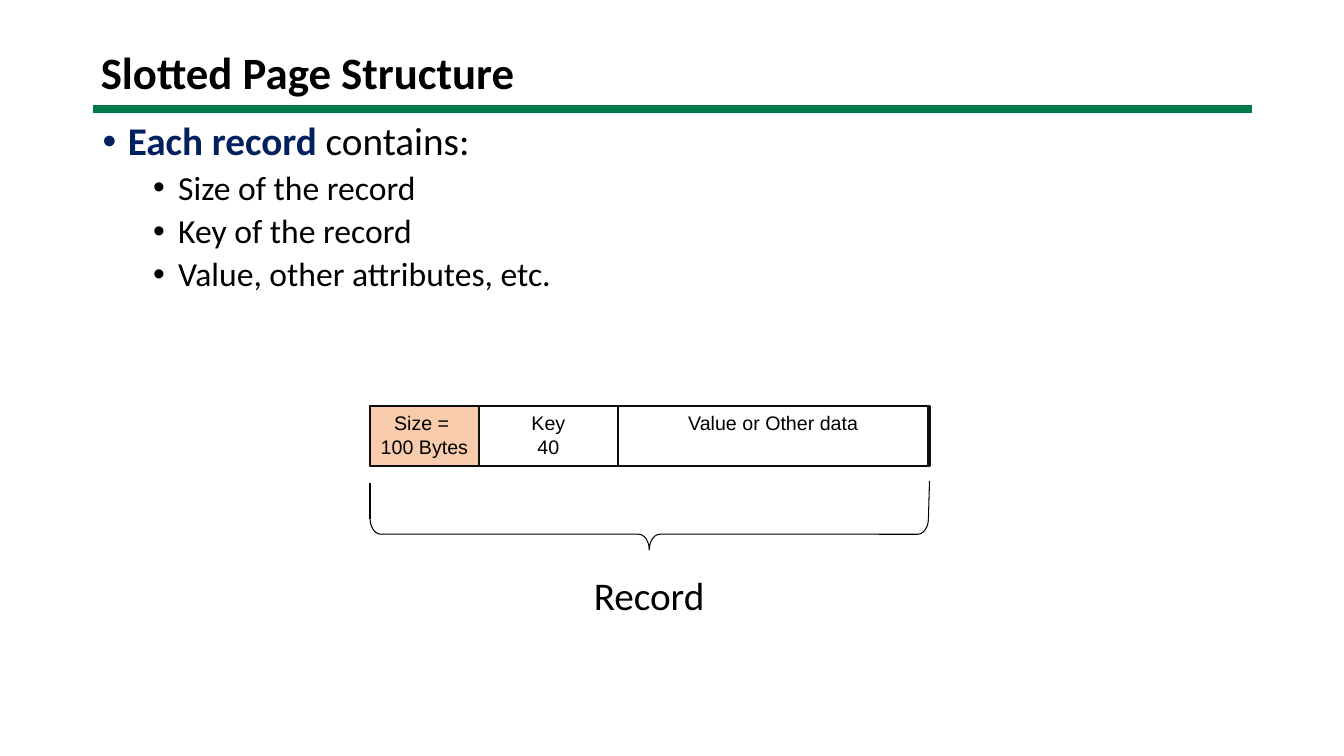
from lxml import etree
from pptx import Presentation
from pptx import util as u
from pptx.dml.color import RGBColor
from pptx.enum import shapes, text
from pptx.oxml.ns import qn

COLORS = {"ink": "000000", "rule": "00784B", "accent": "002060",
          "edge": "0D0D0D", "size": "F8CBAD", "paper": "FFFFFF"}
SHAPE = shapes.MSO_SHAPE


class Page:
    """Style and current slide; lengths are percent of slide width or height."""

    def __init__(self, deck):
        """Add a title-only slide to the deck."""
        self.width, self.height = deck.slide_width, deck.slide_height
        self.slide = deck.slides.add_slide(deck.slide_layouts[5])

    def place(self, left, top, width, height):
        """Turn percentages into slide lengths."""
        return [round(share * side / 100) for share, side in
                zip((left, top, width, height), (self.width, self.height) * 2)]

    def color(self, name):
        """Look up a named colour."""
        return RGBColor.from_string(COLORS[name])

    def span(self, para, words, size, font="Calibri", color="ink", bold=False):
        """Add one formatted run to a paragraph."""
        span = para.add_run()
        span.text = words
        span.font.size, span.font.name, span.font.bold = u.Pt(size), font, bold
        span.font.color.rgb = self.color(color)

    def title(self, words, area):
        """Move the title placeholder and fill it."""
        box = self.slide.shapes.title
        box.left, box.top, box.width, box.height = self.place(*area)
        frame = box.text_frame
        frame.auto_size = text.MSO_AUTO_SIZE.NONE
        frame.vertical_anchor = text.MSO_ANCHOR.MIDDLE
        para = frame.paragraphs[0]
        para.alignment, para.line_spacing = text.PP_ALIGN.LEFT, 0.9
        self.span(para, words, 32, bold=True)

    def text_box(self, area):
        """Add a wrapping text box and return its frame."""
        frame = self.slide.shapes.add_textbox(*self.place(*area)).text_frame
        frame.word_wrap = True
        return frame

    def bullets(self, items, area):
        """Add a bullet list from (level, spans) pairs."""
        frame = self.text_box(area)
        for index, (level, spans) in enumerate(items):
            para = frame.add_paragraph() if index else frame.paragraphs[0]
            para.level, para.line_spacing = level, 0.9
            para.space_before = u.Pt(5 if level else 10)
            props = para._p.get_or_add_pPr()
            props.set("marL", str(u.Inches(0.25 + 0.5 * level)))
            props.set("indent", str(u.Inches(-0.25)))
            etree.SubElement(props, qn("a:buFont")).set("typeface", "Arial")
            etree.SubElement(props, qn("a:buChar")).set("char", "•")
            for words, style in spans:
                self.span(para, words, 24 if level else 28, **style)

    def label(self, words, area):
        """Add a centred caption."""
        para = self.text_box(area).paragraphs[0]
        para.alignment = text.PP_ALIGN.CENTER
        self.span(para, words, 28)

    def line(self, start, end, color="ink", weight=0.75):
        """Draw a straight line without shadow."""
        line = self.slide.shapes.add_connector(
            shapes.MSO_CONNECTOR.STRAIGHT, *self.place(*start, *end))
        line.line.color.rgb, line.line.width = self.color(color), u.Pt(weight)
        etree.SubElement(line._element.spPr, qn("a:effectLst"))

    def outline(self, kind, bounds, color, weight, fill=None):
        """Add an outlined preset shape."""
        box = self.slide.shapes.add_shape(kind, *bounds)
        box.shadow.inherit = False
        box.line.color.rgb, box.line.width = self.color(color), u.Pt(weight)
        if fill:
            box.fill.solid()
            box.fill.fore_color.rgb = self.color(fill)
        else:
            box.fill.background()
        return box

    def field(self, lines, area, fill=None):
        """Add a record field with its lines centred at the top."""
        frame = self.outline(SHAPE.RECTANGLE, self.place(*area), "edge", 1.5, fill).text_frame
        frame.word_wrap = True
        frame.vertical_anchor = text.MSO_ANCHOR.TOP
        frame.margin_left = frame.margin_right = u.Inches(0.04)
        para = frame.paragraphs[0]
        para.alignment = text.PP_ALIGN.CENTER
        for index, words in enumerate(lines):
            if index:
                para.add_line_break()
            self.span(para, words, 14, font="Arial")

    def brace_below(self, area):
        """Draw a brace that covers the area and points down."""
        left, top, width, height = self.place(*area)
        shift = (width - height) // 2
        brace = self.outline(SHAPE.RIGHT_BRACE, (left + shift, top - shift, height, width),
                             "ink", 0.75)
        brace.rotation = 90
        brace.adjustments[0], brace.adjustments[1] = 0.342, 0.5


def main():
    """Build the slide and save it."""
    deck = Presentation()
    deck.slide_width, deck.slide_height = u.Inches(13.33), u.Inches(7.5)
    page = Page(deck)

    page.line((6.9, 14.4), (93.17, 14.4), "rule", 6)
    page.title("Slotted Page Structure", (6.75, 6.27, 39.16, 7.33))
    details = ["Size of the record", "Key of the record", "Value, other attributes, etc."]
    heading = [("Each record ", {"color": "accent", "bold": True}), ("contains:", {})]
    page.bullets([(0, heading)] + [(1, [(words, {})]) for words in details],
                 (6.9, 15.47, 86.42, 76.53))

    left, top, width, height = 27.53, 53.73, 41.63, 7.87
    right = left + width
    page.field([], (left, top, width, height))
    fields = [(["Size = ", "100 Bytes"], 8.1, "size"),
              (["Key", "40"], 10.35, "paper"),
              (["Value or Other data"], 23.1, "paper")]
    edge = left
    for lines, share, fill in fields:
        page.field(lines, (edge, top, share, height), fill)
        edge += share

    brace_top = 68.6
    page.line((left, 63.87), (left, brace_top))
    page.line((right, 63.6), (edge, brace_top))
    page.brace_below((left, brace_top, edge - left, 4.13))
    page.label("Record", (42.3, 74.93, 12, 7.6))
    deck.save("out.pptx")


main()
